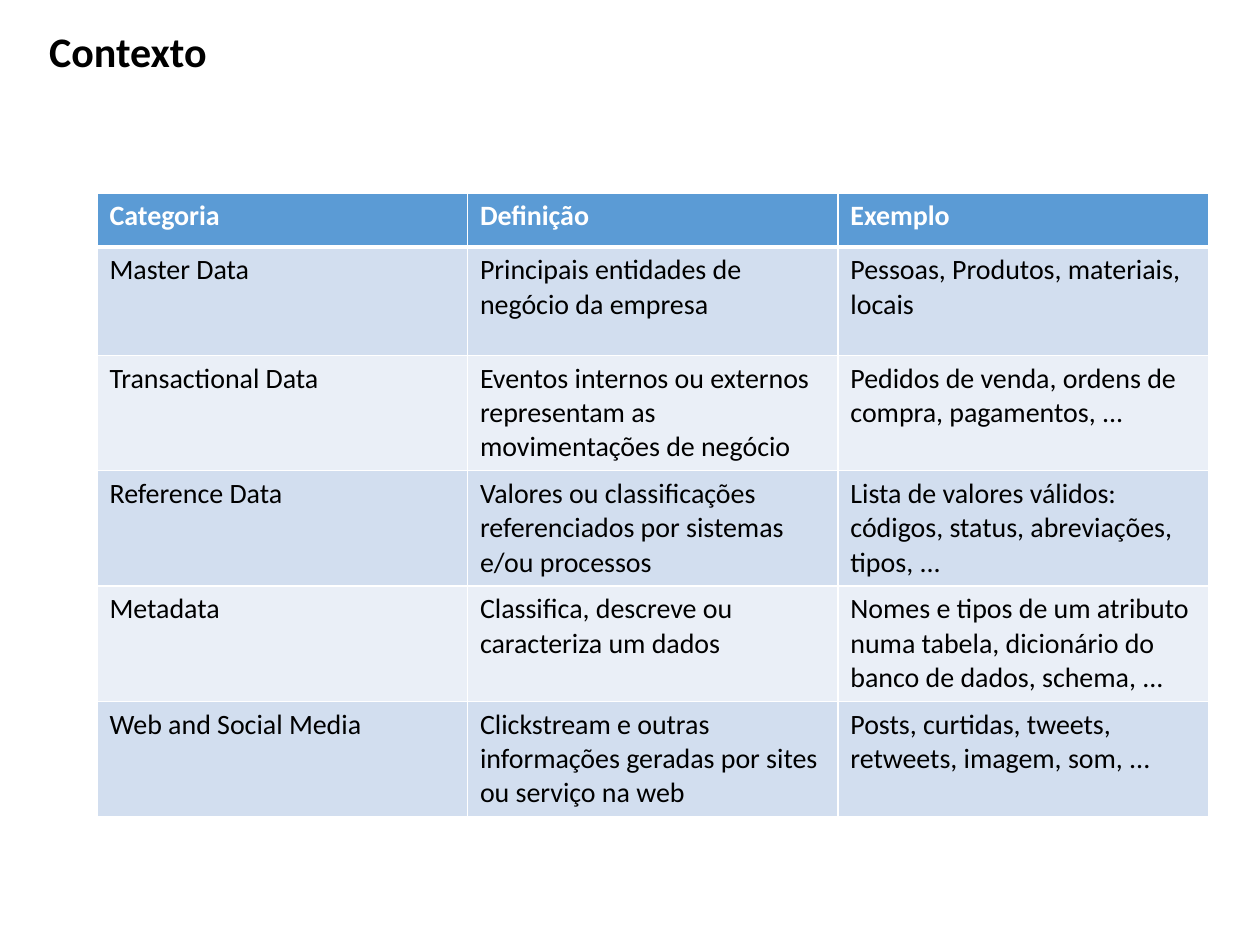
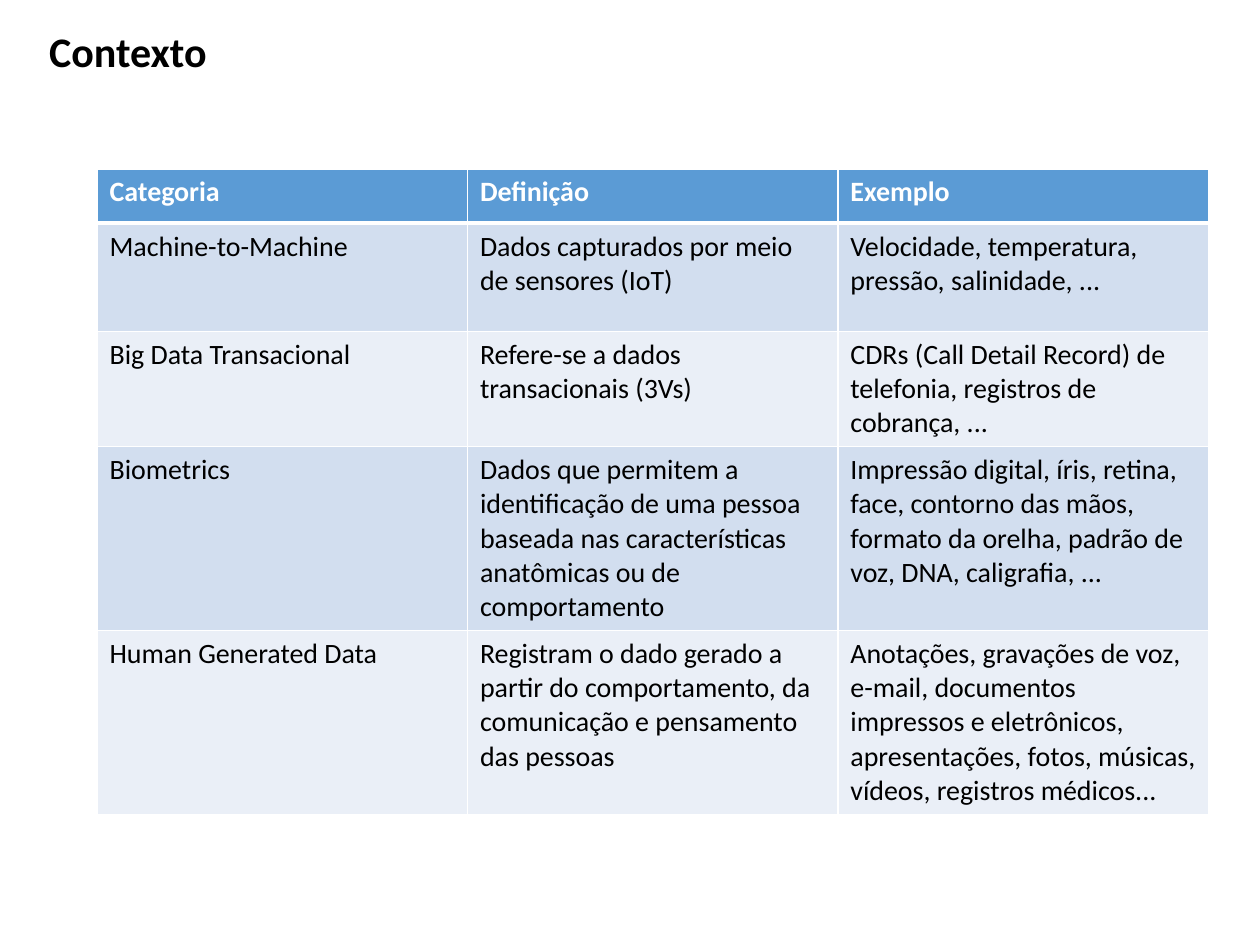
from lxml import etree
from pptx import Presentation
from pptx.dml.color import RGBColor
from pptx.enum import text
from pptx.oxml import ns
from pptx.util import Pt

COLORS = {
    "ink": "000000",
    "paper": "FFFFFF",
    "header": "5B9BD5",
    "odd": "D2DEEF",
    "even": "EAEFF7",
}
FORMATS = {
    "title": {"name": "Calibri", "size": Pt(24), "bold": True},
    "header": {"name": "Calibri", "size": Pt(16), "bold": True},
    "body": {"name": "Calibri", "size": Pt(16), "bold": False},
}
GRID_COLUMNS, GRID_ROWS = 100, 75
HEADINGS = ("Categoria", "Definição", "Exemplo")
HEADING_ROWS, FIRST_ENTRY_ROWS = 4.3, 8.6

MANAGED_DATA = [
    ("Master Data", "Principais entidades de negócio da empresa",
     "Pessoas, Produtos, materiais, locais"),
    ("Transactional Data",
     "Eventos internos ou externos representam as movimentações de negócio",
     "Pedidos de venda, ordens de compra, pagamentos, ..."),
    ("Reference Data",
     "Valores ou classificações referenciados por sistemas e/ou processos",
     "Lista de valores válidos: códigos, status, abreviações, tipos, ..."),
    ("Metadata", "Classifica, descreve ou caracteriza um dados",
     "Nomes e tipos de um atributo numa tabela, dicionário do banco de dados, schema, ..."),
    ("Web and Social Media",
     "Clickstream e outras informações geradas por sites ou serviço na web",
     "Posts, curtidas, tweets, retweets, imagem, som, ..."),
]
GENERATED_DATA = [
    ("Machine-to-Machine", "Dados capturados por meio de sensores (IoT)",
     "Velocidade, temperatura, pressão, salinidade, ..."),
    ("Big Data Transacional", "Refere-se a dados transacionais (3Vs)",
     "CDRs (Call Detail Record) de telefonia, registros de cobrança, ..."),
    ("Biometrics",
     "Dados que permitem a identificação de uma pessoa baseada nas características "
     "anatômicas ou de comportamento",
     "Impressão digital, íris, retina, face, contorno das mãos, formato da orelha, "
     "padrão de voz, DNA, caligrafia, ..."),
    ("Human Generated Data",
     "Registram o dado gerado a partir do comportamento, da comunicação e pensamento "
     "das pessoas",
     "Anotações, gravações de voz, e-mail, documentos impressos e eletrônicos, "
     "apresentações, fotos, músicas, vídeos, registros médicos..."),
]


class Deck:
    def __init__(self):
        self.deck = Presentation()
        self.deck.slide_width, self.deck.slide_height = Pt(720), Pt(540)
        self.slide = None

    def x(self, columns):
        return round(self.deck.slide_width * columns / GRID_COLUMNS)

    def y(self, rows):
        return round(self.deck.slide_height * rows / GRID_ROWS)

    def style(self, font, kind, color):
        for attribute, value in FORMATS[kind].items():
            setattr(font, attribute, value)
        font.color.rgb = RGBColor.from_string(COLORS[color])

    def titled_slide(self, wording):
        self.slide = self.deck.slides.add_slide(self.deck.slide_layouts[5])
        title = self.slide.shapes.title
        place = {"left": self.x(2.9), "top": self.y(-2),
                 "width": self.x(90), "height": self.y(12.5)}
        for attribute, value in place.items():
            setattr(title, attribute, value)
        frame = title.text_frame
        frame.text = wording
        frame.auto_size = text.MSO_AUTO_SIZE.NONE
        frame.vertical_anchor = text.MSO_ANCHOR.MIDDLE
        heading = frame.paragraphs[0]
        heading.alignment = text.PP_ALIGN.LEFT
        heading.line_spacing = 0.9
        self.style(heading.runs[0].font, "title", "ink")

    def borders(self, cell, bottom):
        properties = cell._tc.get_or_add_tcPr()
        for side, points in {"L": 1, "R": 1, "T": 1, "B": bottom}.items():
            line = etree.SubElement(properties, ns.qn(f"a:ln{side}"), w=str(Pt(points)))
            fill = etree.SubElement(line, ns.qn("a:solidFill"))
            etree.SubElement(fill, ns.qn("a:srgbClr"), val=COLORS["paper"])

    def cell(self, cell, wording, kind, fill, color, bottom):
        cell.text = wording
        self.style(cell.text_frame.paragraphs[0].runs[0].font, kind, color)
        self.borders(cell, bottom)
        cell.fill.solid()
        cell.fill.fore_color.rgb = RGBColor.from_string(COLORS[fill])

    def category_table(self, top, entries, later_rows):
        heights = [HEADING_ROWS, FIRST_ENTRY_ROWS, *later_rows]
        table = self.slide.shapes.add_table(
            len(heights), len(HEADINGS), self.x(7.7), self.y(top),
            self.x(88.2), self.y(sum(heights))).table
        for row, height in zip(table.rows, heights):
            row.height = self.y(height)
        for number, entry in enumerate([HEADINGS, *entries]):
            if number == 0:
                look = ("header", "header", "paper", 3)
            else:
                look = ("body", "odd" if number % 2 else "even", "ink", 1)
            for column, wording in enumerate(entry):
                self.cell(table.cell(number, column), wording, *look)
            if number == 1:
                for column in range(len(HEADINGS)):
                    edge = table.cell(1, column)._tc.tcPr.find(ns.qn("a:lnT"))
                    edge.set("w", str(Pt(3)))


def main():
    context = Deck()
    for top, entries, later_rows in (
        (15.3, MANAGED_DATA, [9] * 4),
        (13.4, GENERATED_DATA, [9, 14.5, 14.5]),
    ):
        context.titled_slide("Contexto")
        context.category_table(top, entries, later_rows)
    context.deck.save("out.pptx")


if __name__ == "__main__":
    main()
